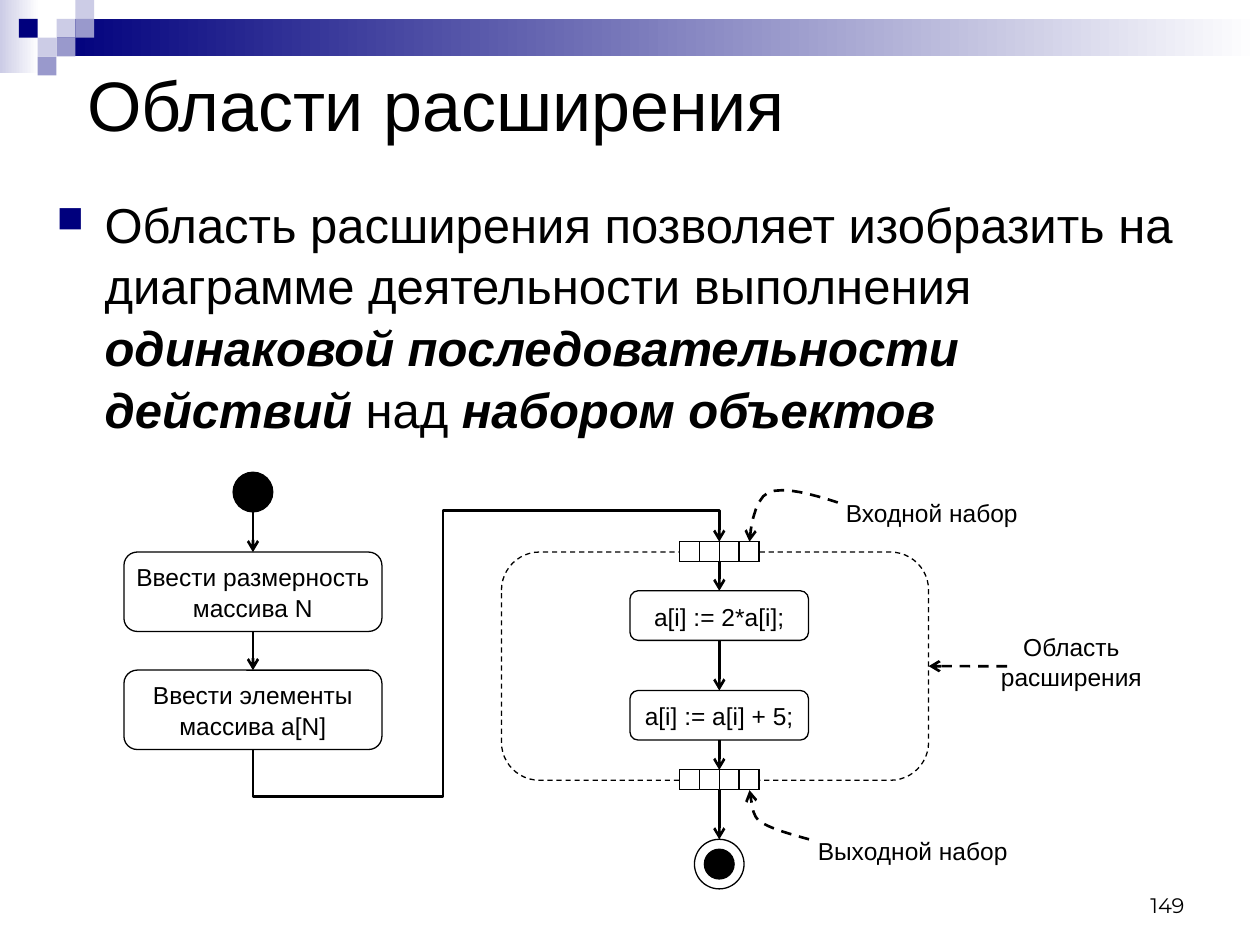
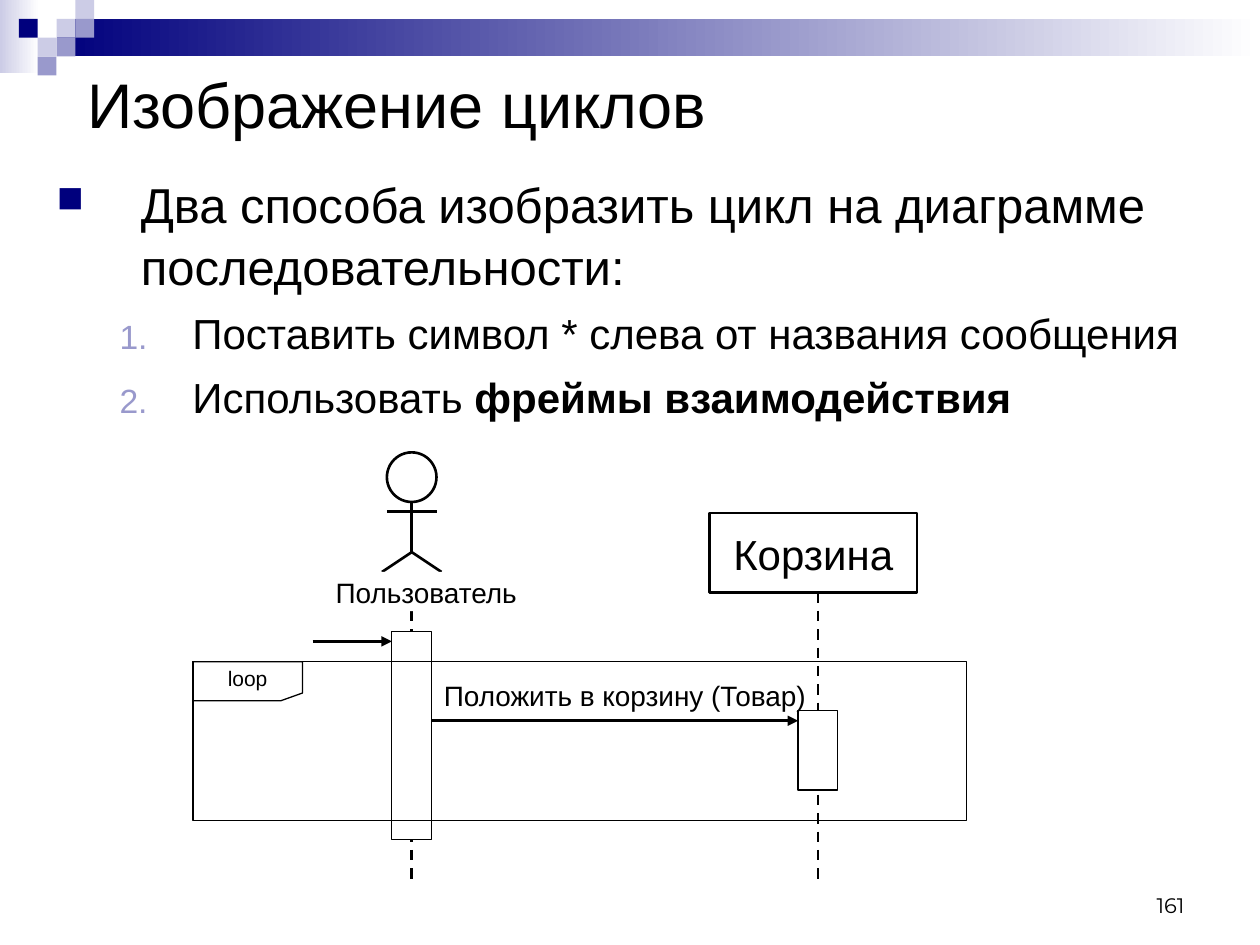
import lxml.etree
import pptx
import pptx.dml.color
import pptx.enum.dml
import pptx.enum.shapes
import pptx.enum.text
import pptx.oxml.ns
import pptx.util

Cm = pptx.util.Cm
qn = pptx.oxml.ns.qn
rgb = pptx.dml.color.RGBColor.from_string
Kind = pptx.enum.shapes.MSO_SHAPE
Link = pptx.enum.shapes.MSO_CONNECTOR
Align = pptx.enum.text.PP_ALIGN
Anchor = pptx.enum.text.MSO_ANCHOR

BLACK, WHITE = "000000", "FFFFFF"
NAVY, VIOLET, PALE = "00007D", "9999CC", "CCCCE6"
SET_FILL = "9999FF"


def paint(part, fill=None, line=BLACK, width=0.75, dashed=False, arrow=None):
    """Format a shape or connector; a pair of colours as fill makes a gradient."""
    if line:
        part.line.color.rgb = rgb(line)
        part.line.width = pptx.util.Pt(width)
        if dashed:
            part.line.dash_style = pptx.enum.dml.MSO_LINE.DASH
        if arrow:
            outline = part._element.spPr.find(qn("a:ln"))
            lxml.etree.SubElement(outline, qn("a:tailEnd"), type=arrow)
    else:
        part.line.fill.background()
    if not hasattr(part, "fill"):
        lxml.etree.SubElement(part._element.spPr, qn("a:effectLst"))
        return part
    part.shadow.inherit = False
    if isinstance(fill, tuple):
        part.fill.gradient()
        part.fill.gradient_angle = 0
        for stop, colour in zip(part.fill.gradient_stops, fill):
            stop.color.rgb = rgb(colour)
    elif fill:
        part.fill.solid()
        part.fill.fore_color.rgb = rgb(fill)
    else:
        part.fill.background()
    return part


def write(holder, text, size=14, font="Arial", align=Align.CENTER, anchor=Anchor.MIDDLE,
          wrap=False, italic=False, bullet=None, bullet_color=NAVY, bullet_size=75,
          indent=0, hanging=0, level=0, before=0):
    """Add one paragraph per line of text; parts between | marks are bold."""
    frame = holder.text_frame
    frame.auto_size = pptx.enum.text.MSO_AUTO_SIZE.NONE
    frame.word_wrap, frame.vertical_anchor = wrap, anchor
    for line in text.split("\n"):
        paragraph = frame.add_paragraph() if frame.text else frame.paragraphs[0]
        paragraph.level = level
        if bullet:
            props = paragraph._p.get_or_add_pPr()
            props.set("marL", str(Cm(indent)))
            props.set("indent", str(-Cm(hanging)))
            colour = lxml.etree.SubElement(props, qn("a:buClr"))
            lxml.etree.SubElement(colour, qn("a:srgbClr"), val=bullet_color)
            lxml.etree.SubElement(props, qn("a:buSzPct"), val=str(bullet_size * 1000))
            if bullet == "1.":
                lxml.etree.SubElement(props, qn("a:buAutoNum"), type="arabicPeriod")
            else:
                lxml.etree.SubElement(props, qn("a:buChar"), char=bullet)
        paragraph.alignment = align
        paragraph.line_spacing = 1.05
        paragraph.space_before = pptx.util.Pt(before)
        for index, piece in enumerate(line.split("|")):
            if piece:
                run = paragraph.add_run()
                run.text = piece
                run.font.size, run.font.name = pptx.util.Pt(size), font
                run.font.color.rgb = rgb(BLACK)
                run.font.bold = index % 2 == 1
                run.font.italic = italic and index % 2 == 1


deck = pptx.Presentation()
deck.slide_width, deck.slide_height = Cm(25.4), Cm(19.05)
layout = deck.slide_layouts[5]

# Titles and page numbers
slides = []
for title, size, page in (("Области расширения", 40, "149"), ("Изображение циклов", 36, "161")):
    slide = deck.slides.add_slide(layout)
    heading = slide.shapes.title
    heading.left, heading.top, heading.width, heading.height = map(Cm, (1.5, 1.12, 23.22, 1.85))
    write(heading, title, size=size, align=Align.LEFT, wrap=True)
    number = slide.shapes.add_textbox(*map(Cm, (18.21, 17.35, 5.92, 1.27)))
    write(number, page, size=12, font="Montserrat", align=Align.RIGHT,
          anchor=Anchor.BOTTOM, wrap=True)
    slides.append(slide)
regions, loops = (slide.shapes for slide in slides)

# Header band, moved into the shared layout
cell = 0.38
band = [((0, 0, 0.79, 1.47), (PALE, WHITE)), ((1.14, cell, 24.26, 2 * cell), (NAVY, WHITE))]
for column, row, colour in ((3, 1, PALE), (4, 0, PALE), (4, 1, VIOLET), (2, 2, PALE),
                            (1, 1, NAVY), (3, 2, VIOLET), (2, 3, VIOLET)):
    band.append(((column * cell, row * cell, cell, cell), colour))
for position, (box, colour) in enumerate(band):
    piece = paint(regions.add_shape(Kind.RECTANGLE, *map(Cm, box)), colour, line=None)
    layout.shapes._spTree.insert(2 + position, piece._element)

# Slide 1: expansion regions
region = paint(regions.add_shape(Kind.FLOWCHART_ALTERNATE_PROCESS,
                                 *map(Cm, (10.11, 11.13, 8.61, 4.6))), dashed=True)
statement = regions.add_textbox(*map(Cm, (0.89, 3.73, 23.6, 5.61)))
write(statement, "Область расширения позволяет изобразить на диаграмме деятельности выполнения "
      "|одинаковой последовательности действий| над |набором объектов|", size=28, italic=True,
      align=Align.LEFT, anchor=Anchor.TOP, wrap=True, bullet="■", indent=0.97, hanging=0.97)

ACTION, NODE, SET = Kind.FLOWCHART_ALTERNATE_PROCESS, Kind.FLOWCHART_CONNECTOR, Kind.FLOWCHART_PROCESS
input_x, region_x = 5.1, 14.5
flows = (
    (input_x, ((NODE, 9.52, 0.8, 0.8, BLACK, ""),
               (ACTION, 11.13, 5.2, 1.6, None, "Ввести размерность\nмассива N"),
               (ACTION, 13.51, 5.2, 1.6, None, "Ввести элементы\nмассива a[N]"))),
    (region_x, ((SET, 10.92, 1.6, 0.4, SET_FILL, ""),
                (ACTION, 11.91, 3.6, 1, None, "a[i] := 2*a[i];"),
                (ACTION, 13.92, 3.6, 1, None, "a[i] := a[i] + 5;"),
                (SET, 15.52, 1.6, 0.4, SET_FILL, ""),
                (NODE, 16.92, 1, 1, None, ""))),
)
for center, steps in flows:
    previous = None
    for kind, top, width, height, fill, text in steps:
        left = center - width / 2
        step = paint(regions.add_shape(kind, *map(Cm, (left, top, width, height))), fill)
        if text:
            write(step, text)
        if kind == SET:
            for index in range(4):
                item = regions.add_shape(SET, *map(Cm, (left + index * 0.4, top, 0.4, 0.4)))
                paint(item, WHITE)
        if previous:
            arrow = regions.add_connector(Link.STRAIGHT, Cm(center), previous.top + previous.height,
                                          Cm(center), Cm(top))
            if previous.auto_shape_type != NODE:
                arrow.begin_connect(previous, 2)
            if kind != NODE:
                arrow.end_connect(step, 0)
            paint(arrow, width=1.5, arrow="arrow")
        previous = step
paint(regions.add_shape(NODE, *map(Cm, (region_x - 0.3, 17.12, 0.6, 0.6))), BLACK)

# Route from the last input step up to the input set: an elbow turned by 270 degrees
start_y, end_y = 15.11, 10.92
rise, run = start_y - end_y, region_x - input_x
left, top = (input_x + region_x - rise) / 2, (start_y + end_y - run) / 2
route = regions.add_connector(Link.ELBOW, *map(Cm, (left, top, left + rise, top + run)))
route._element.spPr.find(qn("a:xfrm")).set("rot", str(270 * 60000))
geometry = route._element.spPr.find(qn("a:prstGeom"))
geometry.set("prst", "bentConnector5")
for child in list(geometry):
    geometry.remove(child)
bends = lxml.etree.SubElement(geometry, qn("a:avLst"))
for index, bend in enumerate((-22500, 40800, 115100), 1):
    lxml.etree.SubElement(bends, qn("a:gd"), name=f"adj{index}", fmla=f"val {bend}")
paint(route, width=1.5, arrow="arrow")

for box, text in (((16.69, 9.93, 4.19, 0.79), "Входной набор"),
                  ((16.1, 16.74, 4.6, 0.81), "Выходной набор"),
                  ((20.1, 12.93, 3, 0.79), "Область\nрасширения")):
    write(regions.add_textbox(*map(Cm, box)), text)

# Dashed curved pointers, each made of two cubic Bezier pieces
for curve in (
    ((16.89, 10.13), (16.36, 9.96), (15.8, 9.8), (15.49, 9.93),
     (15.19, 10.06), (15.11, 10.8), (15.11, 10.92)),
    ((16.31, 16.92), (15.9, 16.81), (15.49, 16.69), (15.29, 16.54),
     (15.11, 16.36), (15.16, 15.95), (15.11, 15.93)),
):
    points = []
    for first in (0, 3):
        for tick in range(1, 9):
            t = tick / 8
            weights = ((1 - t) ** 3, 3 * t * (1 - t) ** 2, 3 * t ** 2 * (1 - t), t ** 3)
            points.append([Cm(sum(w * p[axis] for w, p in zip(weights, curve[first:first + 4])))
                           for axis in (0, 1)])
    pointer = regions.build_freeform(*map(Cm, curve[0]))
    pointer.add_line_segments(points, close=False)
    paint(pointer.convert_to_shape(), width=1.5, dashed=True, arrow="arrow")

region_pointer = regions.add_connector(Link.STRAIGHT, *map(Cm, (20.3, 13.43, 18.72, 13.43)))
region_pointer.end_connect(region, 3)
paint(region_pointer, width=1.5, dashed=True, arrow="arrow")

# Slide 2: loops
ways = loops.add_textbox(*map(Cm, (0.89, 3.33, 24, 14.38)))
listing = {"align": Align.LEFT, "anchor": Anchor.TOP, "wrap": True}
write(ways, "Два способа изобразить цикл на диаграмме последовательности:", size=28,
      bullet="■", indent=1.7, hanging=1.7, **listing)
write(ways, "Поставить символ * слева от названия сообщения\nИспользовать |фреймы взаимодействия|",
      size=24, bullet="1.", bullet_color=VIOLET, bullet_size=80, indent=2.74, hanging=1.47,
      level=1, before=6, **listing)

user_x, cart_x = 8.3, 16.49
for center, top, height in ((user_x, 12.73, 4.19), (cart_x, 14.33, 1.6)):
    lifeline = loops.add_connector(Link.STRAIGHT, *map(Cm, (center, 11.94, center, 17.73)))
    paint(lifeline, width=1.5, dashed=True)
    paint(loops.add_shape(Kind.RECTANGLE, *map(Cm, (center - 0.4, top, 0.8, height))), WHITE)

cart = paint(loops.add_shape(Kind.RECTANGLE, *map(Cm, (14.3, 10.34, 4.19, 1.6))), width=1.5)
write(cart, "Корзина", size=24)

for start, end, y in ((user_x + 0.4, cart_x - 0.4, 14.53), (6.3, user_x - 0.4, 12.93)):
    message = loops.add_connector(Link.STRAIGHT, *map(Cm, (start, y, end, y)))
    paint(message, width=1.5, arrow="triangle")
write(loops.add_textbox(*map(Cm, (9.3, 13.51, 6.6, 0.99))), "Положить в корзину (Товар)", size=16)

paint(loops.add_shape(Kind.RECTANGLE, *map(Cm, (3.89, 13.34, 15.6, 3.2))))
loop_tab = paint(loops.add_shape(Kind.FLOWCHART_CARD, *map(Cm, (3.89, 13.34, 2.21, 0.79))))
for flip in ("flipH", "flipV"):
    loop_tab._element.spPr.find(qn("a:xfrm")).set(flip, "1")
write(loop_tab, "loop", size=12)
loop_tab.text_frame._txBody.bodyPr.set("rot", str(180 * 60000))

paint(loops.add_shape(NODE, *map(Cm, (user_x - 0.5, 9.12, 1, 1))), width=1.5)
hip = 11.13
for limb in ((user_x, 10.12, user_x, hip), (user_x - 0.5, 10.31, user_x + 0.5, 10.31),
             (user_x, hip, user_x - 0.6, 11.53), (user_x, hip, user_x + 0.6, 11.53)):
    paint(loops.add_connector(Link.STRAIGHT, *map(Cm, limb)), width=1.5)
user_label = loops.add_shape(Kind.RECTANGLE, *map(Cm, (6.5, 11.53, 4.19, 0.79)))
write(paint(user_label, WHITE, line=None), "Пользователь", size=16)

deck.save("out.pptx")
